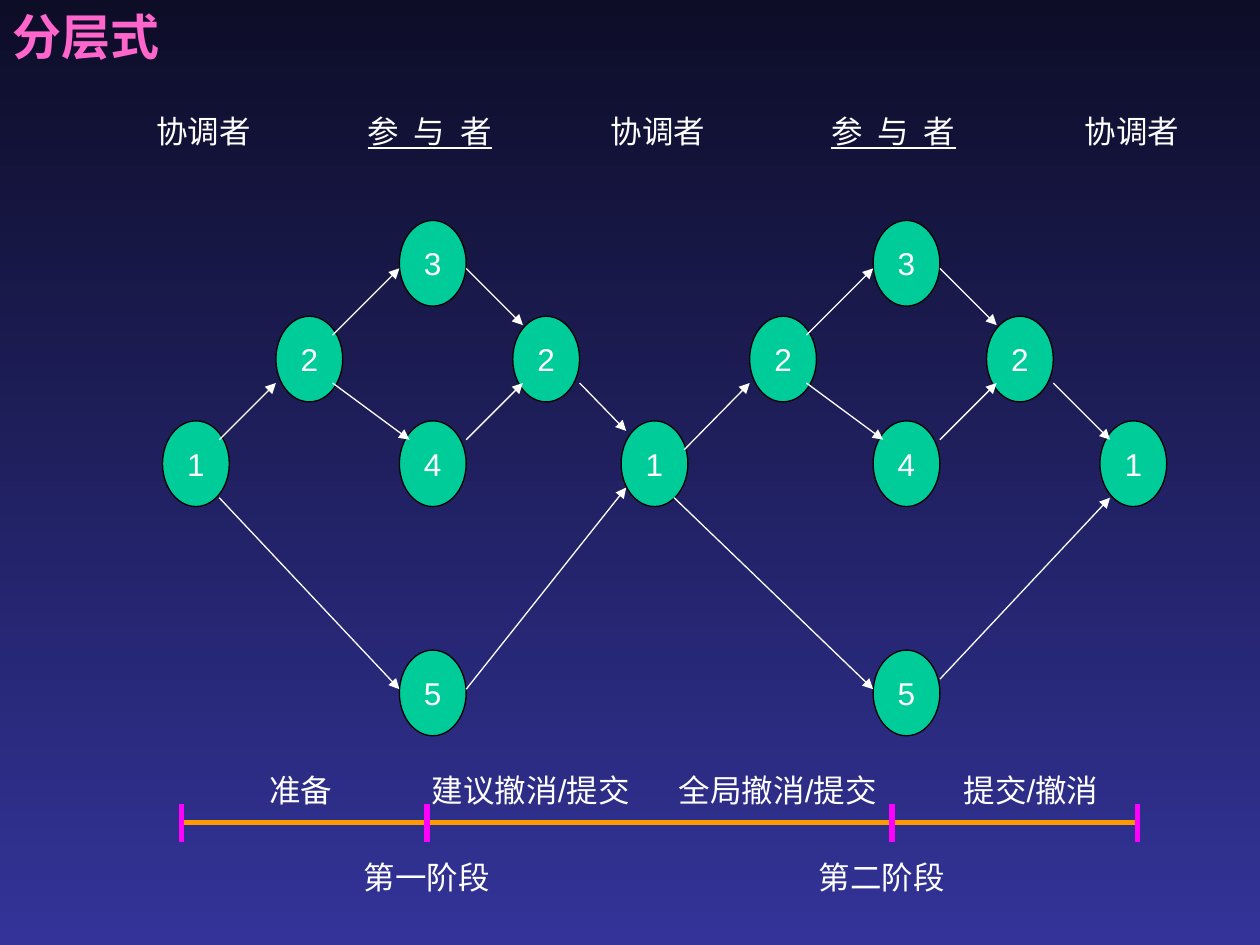
from typing import NamedTuple

from lxml import etree
from pptx import Presentation
from pptx import util as u
from pptx.dml.color import RGBColor
from pptx.enum import shapes, text
from pptx.oxml.ns import qn

WHITE = RGBColor(0xFF, 0xFF, 0xFF)
BLACK = RGBColor(0x00, 0x00, 0x00)
GREEN = RGBColor(0x00, 0xCC, 0x99)
ORANGE = RGBColor(0xFF, 0x99, 0x00)
MAGENTA = RGBColor(0xFF, 0x00, 0xFF)
PINK = RGBColor(0xFF, 0x66, 0xCC)
NIGHT = RGBColor(0x0D, 0x0D, 0x28)
INDIGO = RGBColor(0x33, 0x33, 0x99)

FONT = "Arial"
NODE_W, NODE_H = 0.53, 0.68
PHASE_SHIFT = 3.76
ROLE_Y, STEP_Y, PHASE_Y = 0.84, 6.07, 6.76
AXIS_Y, TICK = 6.53, 0.15


class Node(NamedTuple):
    name: str
    x: float
    y: float


class Line(NamedTuple):
    x1: float
    y1: float
    x2: float
    y2: float


class Label(NamedTuple):
    words: str
    x: float
    y: float
    w: float
    spread: bool = False


COORDINATORS = [Node("1", x, 3.34) for x in (1.29, 4.93, 8.73)]
PHASE_NODES = [
    Node("2", 2.19, 2.51),
    Node("3", 3.17, 1.75),
    Node("4", 3.17, 3.34),
    Node("5", 3.17, 5.16),
    Node("2", 4.07, 2.51),
]
PHASE_ARROWS = [
    Line(2.64, 2.66, 3.17, 2.13),
    Line(3.7, 2.13, 4.15, 2.58),
    Line(2.64, 3.04, 3.25, 3.49),
    Line(3.7, 3.49, 4.15, 3.04),
]
COORDINATOR_ARROWS = [
    Line(1.74, 3.49, 2.19, 3.04),
    Line(4.6, 3.04, 4.97, 3.42),
    Line(1.74, 3.95, 3.17, 5.47),
    Line(3.7, 5.47, 4.97, 3.87),
    Line(5.43, 3.57, 5.95, 3.04),
    Line(8.36, 3.04, 8.81, 3.49),
    Line(5.35, 3.95, 6.93, 5.47),
    Line(7.46, 5.39, 8.81, 3.95),
]
TICKS = [1.44, 3.39, 7.08, 9.03]
LABELS = [
    *(Label("协调者", x, ROLE_Y, 0.95) for x in (1.14, 4.75, 8.51)),
    *(Label("参 与 者", x, ROLE_Y, 1.3, True) for x in (2.82, 6.5)),
    Label("准备", 2.04, STEP_Y, 0.7),
    Label("建议撤消/提交", 3.33, STEP_Y, 1.89),
    Label("全局撤消/提交", 5.29, STEP_Y, 1.89),
    Label("提交/撤消", 7.55, STEP_Y, 1.39),
    Label("第一阶段", 2.79, PHASE_Y, 1.2),
    Label("第二阶段", 6.4, PHASE_Y, 1.2),
]


def set_text(sp, words: str, size: int = 18, color: RGBColor = WHITE):
    tf = sp.text_frame
    tf.text = words
    r = tf.paragraphs[0].runs[0]
    r.font.name = FONT
    r.font.size = u.Pt(size)
    r.font.color.rgb = color
    return r


def add_node(s, node: Node, shift: float = 0) -> None:
    sp = s.shapes.add_shape(
        shapes.MSO_SHAPE.OVAL, u.Inches(node.x + shift), u.Inches(node.y),
        u.Inches(NODE_W), u.Inches(NODE_H))
    sp.shadow.inherit = False
    sp.fill.solid()
    sp.fill.fore_color.rgb = GREEN
    sp.line.color.rgb = BLACK
    sp.line.width = u.Pt(0.75)
    set_text(sp, node.name)
    tf = sp.text_frame
    tf.word_wrap = False
    tf.vertical_anchor = text.MSO_ANCHOR.MIDDLE
    tf.paragraphs[0].alignment = text.PP_ALIGN.CENTER


def add_line(s, line: Line, color: RGBColor, width: float, shift: float = 0):
    sp = s.shapes.add_connector(
        shapes.MSO_CONNECTOR.STRAIGHT,
        u.Inches(line.x1 + shift), u.Inches(line.y1),
        u.Inches(line.x2 + shift), u.Inches(line.y2))
    sp.line.color.rgb = color
    sp.line.width = u.Pt(width)
    etree.SubElement(sp._element.spPr, qn("a:effectLst"))
    return sp


def add_arrow(s, line: Line, shift: float = 0) -> None:
    sp = add_line(s, line, WHITE, 0.75, shift)
    etree.SubElement(sp.line._get_or_add_ln(), qn("a:tailEnd"), type="triangle")


def add_label(s, label: Label) -> None:
    sp = s.shapes.add_textbox(
        u.Inches(label.x), u.Inches(label.y), u.Inches(label.w), u.Inches(0.4))
    r = set_text(sp, label.words)
    sp.text_frame.word_wrap = False
    if label.spread:
        r.font.underline = True
        r.font._element.set("spc", "225")


def add_title(s) -> None:
    sp = s.shapes.add_textbox(0, 0, u.Inches(1.81), u.Inches(0.57))
    sp.text_frame.word_wrap = True
    set_text(sp, "分层式", 28, PINK).font.bold = True


def set_background(s) -> None:
    fill = s.background.fill
    fill.gradient()
    fill.gradient_angle = 270
    for stop, position, color in zip(fill.gradient_stops, (0, 1), (NIGHT, INDIGO)):
        stop.position = position
        stop.color.rgb = color


def main() -> None:
    prs = Presentation()
    prs.slide_width, prs.slide_height = u.Inches(10), u.Inches(7.5)
    s = prs.slides.add_slide(prs.slide_layouts[6])
    set_background(s)
    add_title(s)

    for node in COORDINATORS:
        add_node(s, node)
    for shift in (0, PHASE_SHIFT):
        for node in PHASE_NODES:
            add_node(s, node, shift)
        for line in PHASE_ARROWS:
            add_arrow(s, line, shift)
    for line in COORDINATOR_ARROWS:
        add_arrow(s, line)

    add_line(s, Line(TICKS[0], AXIS_Y, TICKS[-1], AXIS_Y), ORANGE, 3)
    for x in TICKS:
        add_line(s, Line(x, AXIS_Y - TICK, x, AXIS_Y + TICK), MAGENTA, 3)
    for label in LABELS:
        add_label(s, label)

    prs.save("out.pptx")


if __name__ == "__main__":
    main()
